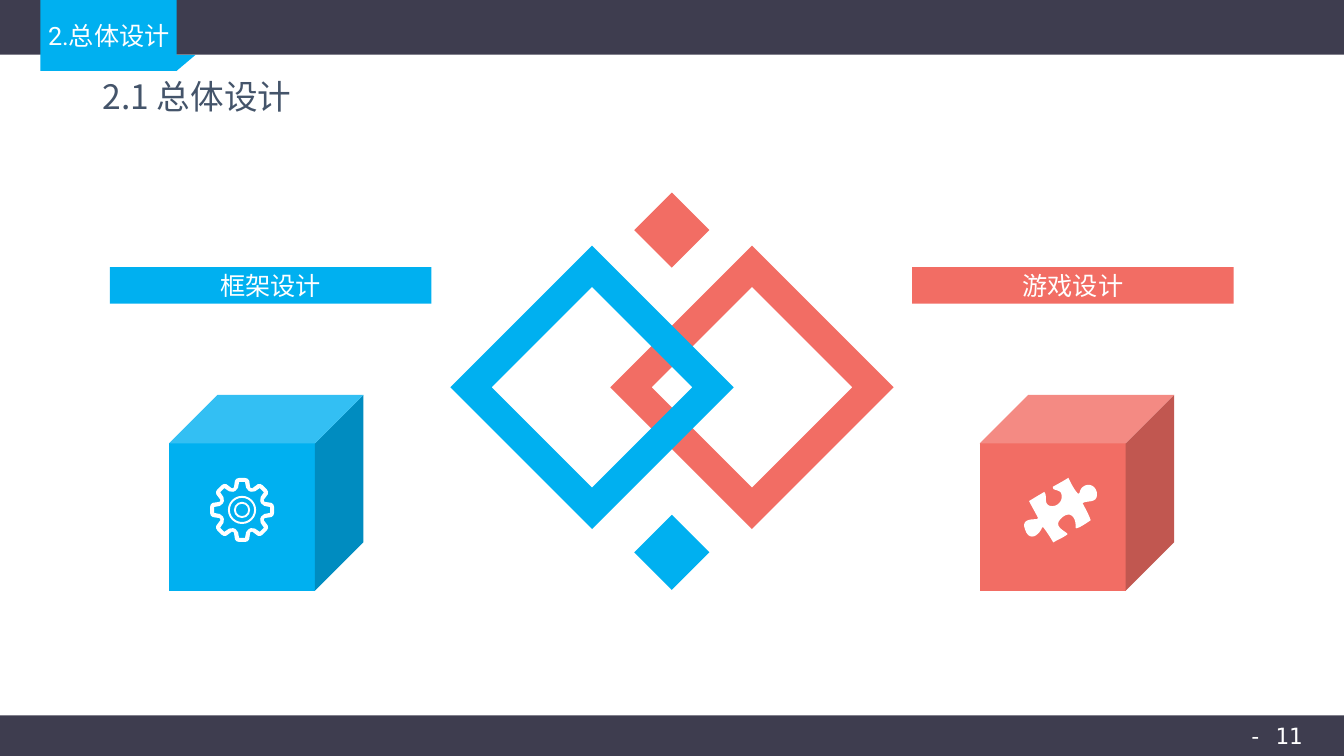
"""Build the overall design slide with two linked frames and two icon cubes."""
import math

import pptx
import pptx.dml.color
import pptx.enum.shapes
import pptx.enum.text
import pptx.util

Cm = pptx.util.Cm
KIND = pptx.enum.shapes.MSO_SHAPE
ALIGN = pptx.enum.text.PP_ALIGN
ANCHOR = pptx.enum.text.MSO_ANCHOR


class Theme:
    blue, red, dark = "00B0F0", "F26D64", "3E3D4F"
    white, slate = "FFFFFF", "44546A"
    title, body, page = 24, 18, 16
    asian = "Noto Sans CJK SC"
    tab, mono, label = "Roboto", "DejaVu Sans Mono", "Arial Narrow"


WIDE, HIGH = 33.87, 19.05
CHAPTER = "2.总体设计"
TITLE = "2.1 总体设计"
PAGE = "- 11"

TOPICS = [
    ("框架设计", Theme.blue, 2.77, 4.26),
    ("游戏设计", Theme.red, 22.99, 24.69),
]
FRAMES = [
    (18.95, 9.76, 5.05, Theme.red),
    (14.92, 9.76, 5.05, Theme.blue),
]
GEMS = [
    (16.93, 5.8, 1.34, Theme.red),
    (16.93, 13.92, 1.34, Theme.blue),
]

GEAR = (6.1, 12.85)
TEETH = 8
RIM = [(5.4, 0.81), (10, 0.8), (13.6, 0.76), (20, 0.6)]
HOLE = [(6, 0.71), (10.3, 0.57), (19, 0.51)]
HUBS = [(0.71, 0.07), (0.41, 0.12)]

PUZZLE = (25.73, 12.04)
GRID = 1.96 / 77
START = (47, 0)
CURVES = [
    (49, 5, 54, 14, 57, 16), (57, 16, 58, 15, 58, 15),
    (59, 6, 72, 3, 75, 14), (77, 26, 66, 22, 61, 25),
    (64, 31, 67, 36, 69, 42), (66, 44, 59, 49, 55, 50),
    (54, 50, 54, 49, 54, 49), (55, 39, 48, 31, 39, 41),
    (31, 49, 47, 54, 46, 56), (42, 59, 37, 61, 32, 64),
    (29, 59, 26, 54, 22, 49), (22, 49, 21, 49, 21, 49),
    (18, 57, 8, 64, 4, 51), (0, 41, 10, 41, 16, 41),
    (16, 40, 17, 40, 17, 40), (14, 34, 11, 29, 8, 23),
    (13, 20, 18, 17, 23, 14), (27, 18, 21, 28, 31, 28),
    (38, 28, 43, 20, 39, 14), (36, 12, 33, 12, 32, 11),
    (31, 8, 32, 9, 33, 8), (37, 6, 42, 3, 47, 0),
]
STEPS = 10


def color(code):
    return pptx.dml.color.RGBColor.from_string(code)


def paint(shape, code):
    shape.shadow.inherit = False
    shape.fill.solid()
    shape.fill.fore_color.rgb = color(code)
    shape.line.fill.background()
    return shape


def draw(slide, kind, box, code, turn=0):
    shape = slide.shapes.add_shape(kind, *map(Cm, box))
    shape.rotation = turn
    return paint(shape, code)


def center(slide, kind, x, y, size, code, turn=0):
    box = (x - size / 2, y - size / 2, size, size)
    return draw(slide, kind, box, code, turn)


def write(shape, text, font, size, code, align=ALIGN.CENTER, space=1):
    frame = shape.text_frame
    frame.word_wrap = True
    para = frame.paragraphs[0]
    para.alignment = align
    para.line_spacing = space
    run = para.add_run()
    run.text = text
    run.font.name = font
    run.font.size = pptx.util.Pt(size)
    run.font.color.rgb = color(code)
    asian = run.font._element.makeelement(
        pptx.oxml.ns.qn("a:ea"), {"typeface": Theme.asian})
    run.font._element.append(asian)
    return frame


def label(slide, box, *style, **more):
    return write(slide.shapes.add_textbox(*map(Cm, box)), *style, **more)


def outline(slide, loops, code):
    loops = [[(Cm(x), Cm(y)) for x, y in loop] for loop in loops]
    pen = slide.shapes.build_freeform(*loops[0][0], scale=1.0)
    for loop in loops:
        pen.move_to(*loop[0])
        pen.add_line_segments(loop[1:], close=True)
    return paint(pen.convert_to_shape(), code)


def cogs(half):
    tooth = [(-turn, far) for turn, far in reversed(half)] + half
    points = []
    for step in range(TEETH):
        for turn, far in tooth:
            angle = math.radians(step * 360 / TEETH + turn)
            points.append((GEAR[0] + far * math.cos(angle),
                           GEAR[1] + far * math.sin(angle)))
    return points


def bend():
    points, last = [START], START
    for ax, ay, bx, by, cx, cy in CURVES:
        for step in range(1, STEPS + 1):
            t = step / STEPS
            u = 1 - t
            points.append(tuple(
                u**3 * p + 3 * u * u * t * a + 3 * u * t * t * b + t**3 * c
                for p, a, b, c in zip(last, (ax, ay), (bx, by), (cx, cy))))
        last = (cx, cy)
    return [(PUZZLE[0] + x * GRID, PUZZLE[1] + y * GRID) for x, y in points]


def main():
    deck = pptx.Presentation()
    deck.slide_width, deck.slide_height = Cm(WIDE), Cm(HIGH)
    slide = deck.slides.add_slide(deck.slide_layouts[6])

    draw(slide, KIND.RECTANGLE, (0, 18.03, WIDE, HIGH - 18.03), Theme.dark)
    label(slide, (30.94, 18.08, 2.41, 0.94), PAGE, Theme.mono, Theme.page, Theme.white)
    draw(slide, KIND.ISOSCELES_TRIANGLE, (3.96, 1.38, 0.97, 0.41), Theme.blue, 180)
    draw(slide, KIND.RECTANGLE, (0, 0, WIDE, 1.38), Theme.dark)
    draw(slide, KIND.RECTANGLE, (1.02, 0, 3.43, 1.79), Theme.blue)
    label(slide, (0.74, 0.15, 4.01, 1.14), CHAPTER, Theme.tab, Theme.body,
          Theme.white, space=1.3)

    for x, y, size, code in FRAMES:
        ring = center(slide, KIND.FRAME, x, y, size, code, 45)
        ring.adjustments[0] = 0.146
    for gem in GEMS:
        center(slide, KIND.RECTANGLE, *gem, 45)

    for text, code, left, side in TOPICS:
        bar = draw(slide, KIND.RECTANGLE, (left, 6.73, 8.1, 0.92), code)
        frame = write(bar, text, Theme.label, Theme.body, Theme.white)
        frame.vertical_anchor = ANCHOR.MIDDLE
        frame.margin_left = frame.margin_right = 0
        frame.margin_top = frame.margin_bottom = 0
        draw(slide, KIND.CUBE, (side, 9.95, 4.9, 4.94), code)

    outline(slide, [cogs(RIM), cogs(HOLE)], Theme.white)
    for size, thick in HUBS:
        hub = center(slide, KIND.DONUT, *GEAR, size, Theme.white)
        hub.adjustments[0] = thick
    outline(slide, [bend()], Theme.white)

    head = label(slide, (2.34, 1.9, 29.21, 1.19), TITLE, Theme.asian, Theme.title,
                 Theme.slate, align=ALIGN.LEFT, space=0.9)
    head.vertical_anchor = ANCHOR.MIDDLE
    deck.save("out.pptx")


if __name__ == "__main__":
    main()
